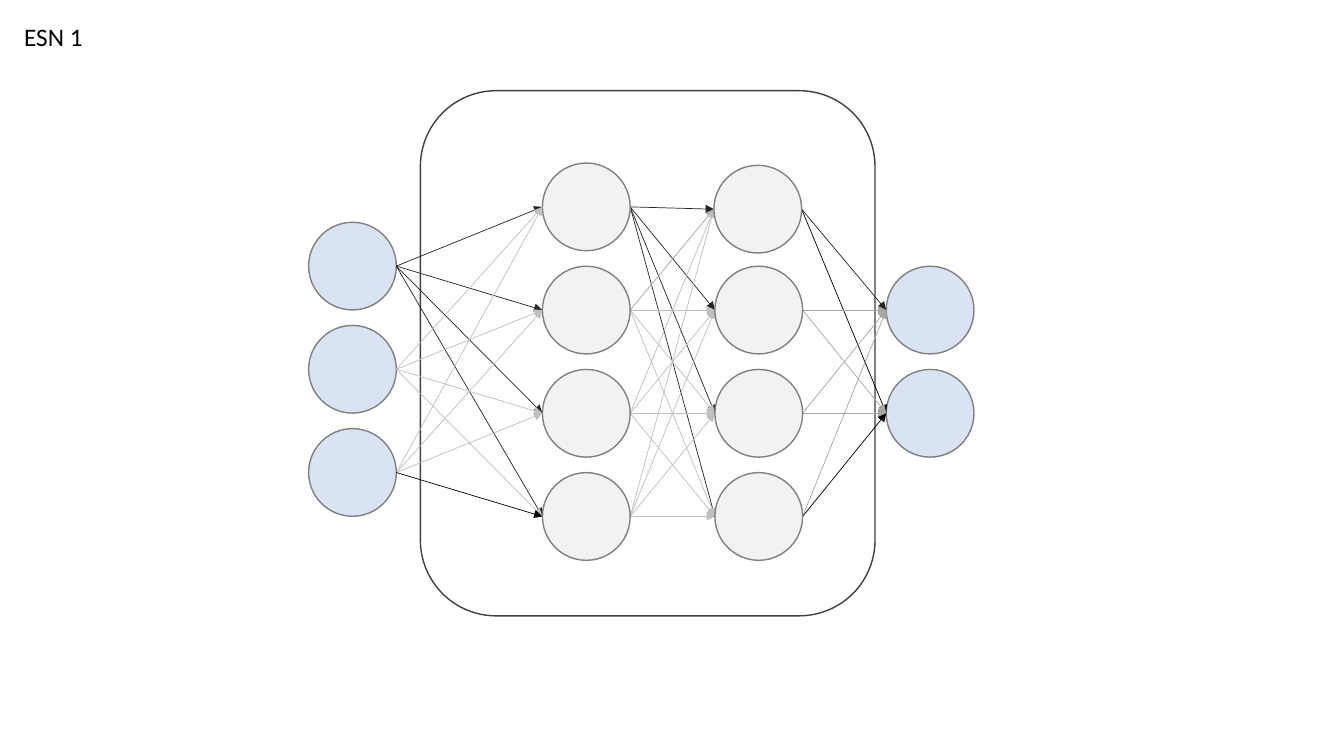
from lxml import etree
from pptx import Presentation
from pptx import util as u
from pptx.dml.color import RGBColor
from pptx.enum import shapes, text
from pptx.oxml.ns import qn

COLOURS = {
    "frame": "404040", "outline": "808080", "outer": "DAE3F3", "hidden": "F2F2F2",
    "weak": "BFBFBF", "medium": "A6A6A6", "strong": "262626", "black": "000000",
}
NODE_WIDTH, NODE_HEIGHT = 6.53, 11.6
ROW_PITCH = 13.65


class Diagram:
    """Draws on one slide; lengths are percentages of its width and height."""

    font = "Calibri"

    def __init__(self):
        self.deck = Presentation()
        self.deck.slide_width, self.deck.slide_height = u.Inches(13.33), u.Inches(7.5)
        self.slide = self.deck.slides.add_slide(self.deck.slide_layouts[5])

    def x(self, share):
        return round(self.deck.slide_width * share / 100)

    def y(self, share):
        return round(self.deck.slide_height * share / 100)

    def box(self, left, top, width, height):
        return self.x(left), self.y(top), self.x(width), self.y(height)

    def colour(self, name):
        return RGBColor.from_string(COLOURS[name])

    def title(self, wording, *place):
        heading = self.slide.shapes.title
        heading.left, heading.top, heading.width, heading.height = self.box(*place)
        frame = heading.text_frame
        frame.text = wording
        frame.word_wrap = False
        frame.auto_size = text.MSO_AUTO_SIZE.NONE
        frame.vertical_anchor = text.MSO_ANCHOR.TOP
        line = frame.paragraphs[0]
        line.alignment = text.PP_ALIGN.LEFT
        line.font.name, line.font.size = self.font, u.Pt(18)
        line.font.color.rgb = self.colour("black")

    def shape(self, kind, place, outline, fill=None, parent=None):
        item = (parent or self.slide).shapes.add_shape(kind, *self.box(*place))
        item.shadow.inherit = False
        item.line.color.rgb, item.line.width = self.colour(outline), u.Pt(1)
        if fill:
            item.fill.solid()
            item.fill.fore_color.rgb = self.colour(fill)
        else:
            item.fill.background()

    def layer(self, nodes, fill):
        group = self.slide.shapes.add_group_shape()
        for left, top in nodes:
            self.shape(shapes.MSO_SHAPE.OVAL, (left, top, NODE_WIDTH, NODE_HEIGHT),
                       "outline", fill, group)

    def arrow(self, source, target, colour):
        """Joins the right side of one node to the left side of another."""
        arrow = self.slide.shapes.add_connector(
            shapes.MSO_CONNECTOR.STRAIGHT,
            self.x(source[0] + NODE_WIDTH), self.y(source[1] + NODE_HEIGHT / 2),
            self.x(target[0]), self.y(target[1] + NODE_HEIGHT / 2))
        arrow.line.color.rgb, arrow.line.width = self.colour(colour), u.Pt(0.5)
        etree.SubElement(arrow.line._get_or_add_ln(), qn("a:tailEnd"), type="triangle")
        etree.SubElement(arrow._element.spPr, qn("a:effectLst"))

    def connect(self, sources, targets, usual, special):
        """Links every pair; the first source is strong, special pairs differ."""
        for i, source in enumerate(sources):
            for j, target in enumerate(targets):
                default = usual if i else "strong"
                self.arrow(source, target, special.get((i, j), default))


def column(left, top, count):
    return [(left, top + ROW_PITCH * row) for row in range(count)]


def main():
    inputs = column(22.96, 29.4, 3)
    first_hidden = column(40.36, 21.57, 4)
    second_hidden = column(53.19, 21.57, 4)
    second_hidden[0] = (53.12, 21.87)
    outputs = column(65.94, 35.22, 2)

    diagram = Diagram()
    diagram.title("ESN 1", 1.05, 2.13, 5.93, 5.33)
    diagram.shape(shapes.MSO_SHAPE.ROUNDED_RECTANGLE, (31.28, 12, 33.83, 69.47), "frame")
    diagram.connect(first_hidden, second_hidden, "weak", {(1, 0): "medium"})
    diagram.layer(first_hidden, "hidden")
    diagram.layer(inputs, "outer")
    diagram.layer(outputs, "outer")
    diagram.connect(inputs, first_hidden, "weak", {(2, 3): "black"})
    diagram.connect(second_hidden, outputs, "medium", {(0, 1): "black", (3, 1): "black"})
    diagram.layer(second_hidden, "hidden")
    diagram.deck.save("out.pptx")


if __name__ == "__main__":
    main()
